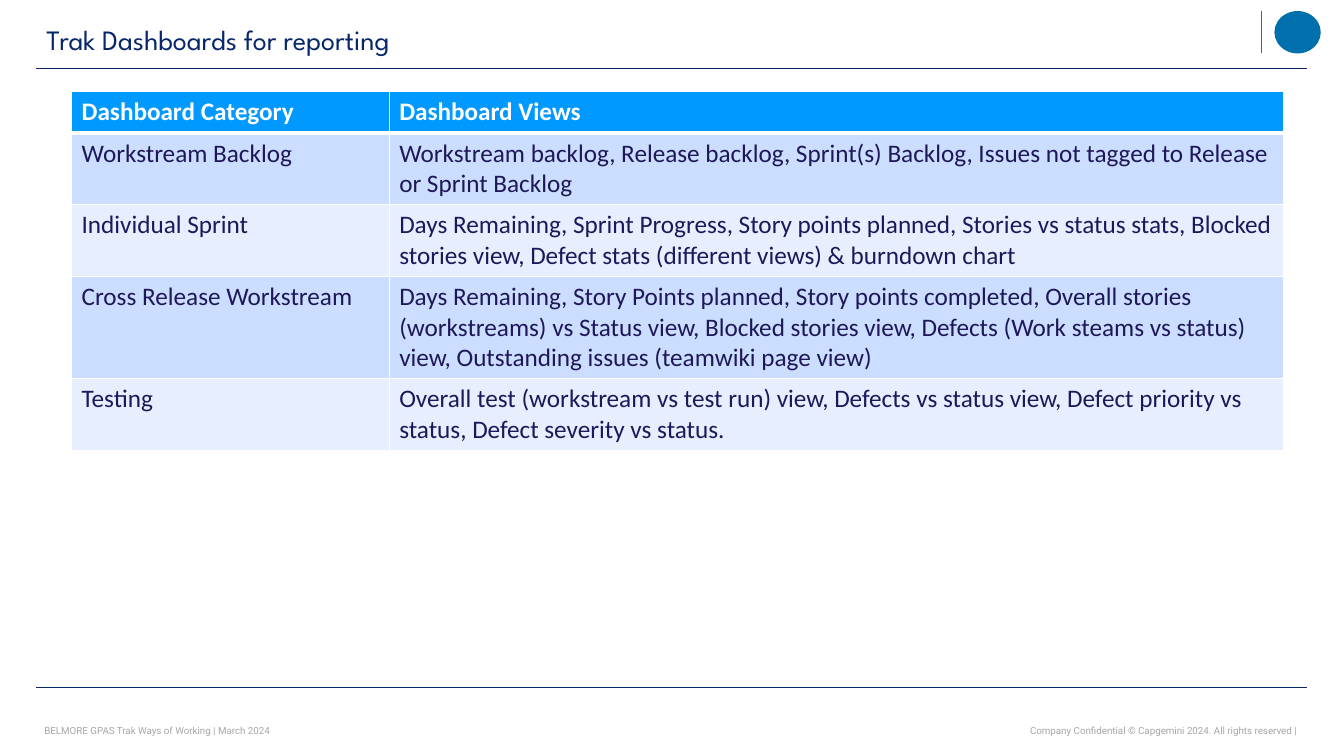
import pptx
import pptx.dml.color
import pptx.enum.shapes
import pptx.enum.text
import pptx.oxml
import pptx.oxml.ns
import pptx.util
from pptx.util import Inches

NAVY, RED, GREY, WHITE, INK = "072769", "CB2E2E", "A6A6A6", "FFFFFF", "1E185A"
HEADER_BLUE, BAND_FILLS = "0099FF", ["E7EFFF", "CCDEFF"]
DASHBOARDS = [
    ("Dashboard Category", "Dashboard Views"),
    ("Workstream Backlog",
     "Workstream backlog, Release backlog, Sprint(s) Backlog, Issues not tagged to Release "
     "or Sprint Backlog"),
    ("Individual Sprint",
     "Days Remaining, Sprint Progress, Story points planned, Stories vs status stats, Blocked "
     "stories view, Defect stats (different views) & burndown chart"),
    ("Cross Release Workstream",
     "Days Remaining, Story Points planned, Story points completed, Overall stories "
     "(workstreams) vs Status view, Blocked stories view, Defects (Work steams vs status) "
     "view, Outstanding issues (teamwiki page view)"),
    ("Testing",
     "Overall test (workstream vs test run) view, Defects vs status view, Defect priority vs "
     "status, Defect severity vs status."),
]
COLUMN_WIDTHS = [3.15, 8.87]
ROW_HEIGHTS = [0.41, 0.71, 0.71, 1.01, 0.71]


def colour(value):
    """Turn a hex string into a colour."""
    return pptx.dml.color.RGBColor.from_string(value)


def style_text(frame, font, size, value, bold=False):
    """Format every run of a text frame."""
    for para in frame.paragraphs:
        for span in para.runs:
            span.font.name = font
            span.font.size = pptx.util.Pt(size)
            span.font.bold = bold
            span.font.color.rgb = colour(value)


def add_rule(page, start, end, value, width):
    """Draw a straight line between two points."""
    points = [Inches(length) for length in (*start, *end)]
    rule = page.shapes.add_connector(pptx.enum.shapes.MSO_CONNECTOR.STRAIGHT, *points)
    rule.line.color.rgb = colour(value)
    rule.line.width = pptx.util.Pt(width)
    rule._element.spPr.append(pptx.oxml.parse_xml(
        f'<a:effectLst {pptx.oxml.ns.nsdecls("a")}/>'))


def add_header(page, left, top, width):
    """Place the title, its rule and the corner mark."""
    title = page.shapes.title
    title.left, title.top = Inches(left), Inches(top)
    title.width, title.height = Inches(10.09), Inches(0.51)
    frame = title.text_frame
    frame.text = "Trak Dashboards for reporting"
    frame.vertical_anchor = pptx.enum.text.MSO_ANCHOR.MIDDLE
    frame.paragraphs[0].alignment = pptx.enum.text.PP_ALIGN.LEFT
    style_text(frame, "League Spartan", 20, NAVY)
    right = left + width
    add_rule(page, (left, top + 0.55), (right, top + 0.55), NAVY, 1)
    add_rule(page, (right - 0.45, top - 0.02), (right - 0.45, top + 0.4), RED, 0.75)
    mark = page.shapes.add_shape(
        pptx.enum.shapes.MSO_SHAPE.OVAL,
        Inches(right - 0.32), Inches(top - 0.02), Inches(0.46), Inches(0.42))
    mark.shadow.inherit = False
    mark.fill.solid()
    mark.fill.fore_color.rgb = colour("0070AD")
    mark.line.fill.background()


def style_cell(cell, row):
    """Give a table cell its borders, fill and font."""
    widths = {"L": 1, "R": 1, "T": 3 if row == 1 else 1, "B": 3 if row == 0 else 1}
    properties = cell._tc.get_or_add_tcPr()
    for side, width in widths.items():
        properties.append(pptx.oxml.parse_xml(
            f'<a:ln{side} {pptx.oxml.ns.nsdecls("a")} w="{pptx.util.Pt(width)}">'
            f'<a:solidFill><a:srgbClr val="{WHITE}"/></a:solidFill></a:ln{side}>'))
    header = row == 0
    cell.fill.solid()
    cell.fill.fore_color.rgb = colour(HEADER_BLUE if header else BAND_FILLS[row % 2])
    style_text(cell.text_frame, "Calibri", 18, WHITE if header else INK, header)


def add_dashboards(page, left, top):
    """Build the table of dashboard categories and views."""
    table = page.shapes.add_table(
        len(DASHBOARDS), len(COLUMN_WIDTHS), Inches(left), Inches(top),
        Inches(sum(COLUMN_WIDTHS)), Inches(sum(ROW_HEIGHTS))).table
    for column, width in zip(table.columns, COLUMN_WIDTHS):
        column.width = Inches(width)
    for row, texts in enumerate(DASHBOARDS):
        table.rows[row].height = Inches(ROW_HEIGHTS[row])
        for column, text in enumerate(texts):
            cell = table.cell(row, column)
            cell.text_frame.text = text
            style_cell(cell, row)


def add_footer(page, left, top, width):
    """Place the bottom rule and the two footer notes."""
    add_rule(page, (left, top), (left + width, top), NAVY, 0.75)
    align = pptx.enum.text.PP_ALIGN
    notes = [
        (left + 0.08, 3.73, align.LEFT, "BELMORE GPAS Trak Ways of Working | March 2024"),
        (left + width - 5.06, 4.96, align.RIGHT,
         "Company Confidential © Capgemini 2024. All rights reserved |"),
    ]
    for note_left, note_width, alignment, text in notes:
        box = page.shapes.add_textbox(
            Inches(note_left), Inches(top + 0.31), Inches(note_width), Inches(0.24))
        frame = box.text_frame
        frame.word_wrap = True
        frame.margin_left = frame.margin_right = frame.margin_top = frame.margin_bottom = 0
        frame.vertical_anchor = pptx.enum.text.MSO_ANCHOR.MIDDLE
        frame.text = text
        frame.paragraphs[0].alignment = alignment
        style_text(frame, "Roboto", 7, GREY)


def main():
    """Build and save the deck."""
    deck = pptx.Presentation()
    deck.slide_width, deck.slide_height = Inches(13.33), Inches(7.5)
    page = deck.slides.add_slide(deck.slide_layouts[5])
    add_header(page, 0.36, 0.13, 12.6)
    add_dashboards(page, 0.71, 0.91)
    add_footer(page, 0.36, 6.82, 12.6)
    deck.save("out.pptx")


if __name__ == "__main__":
    main()
